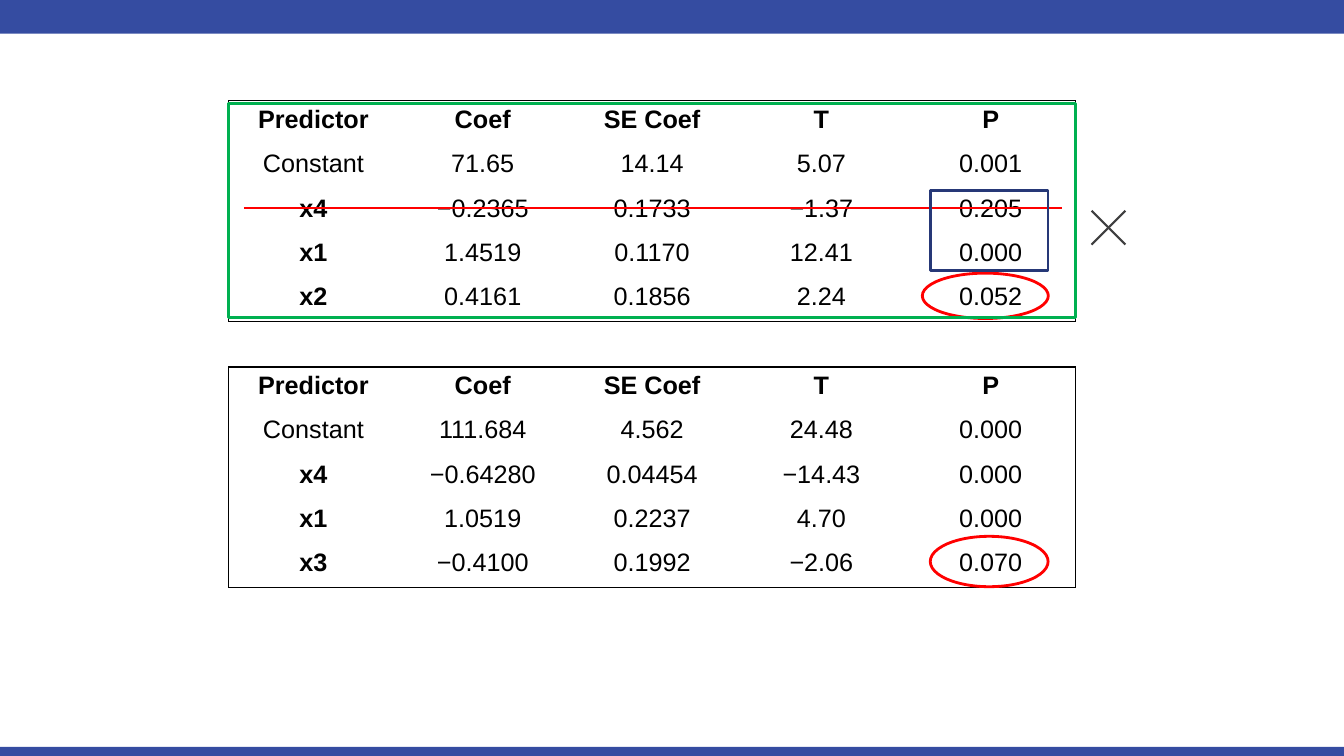
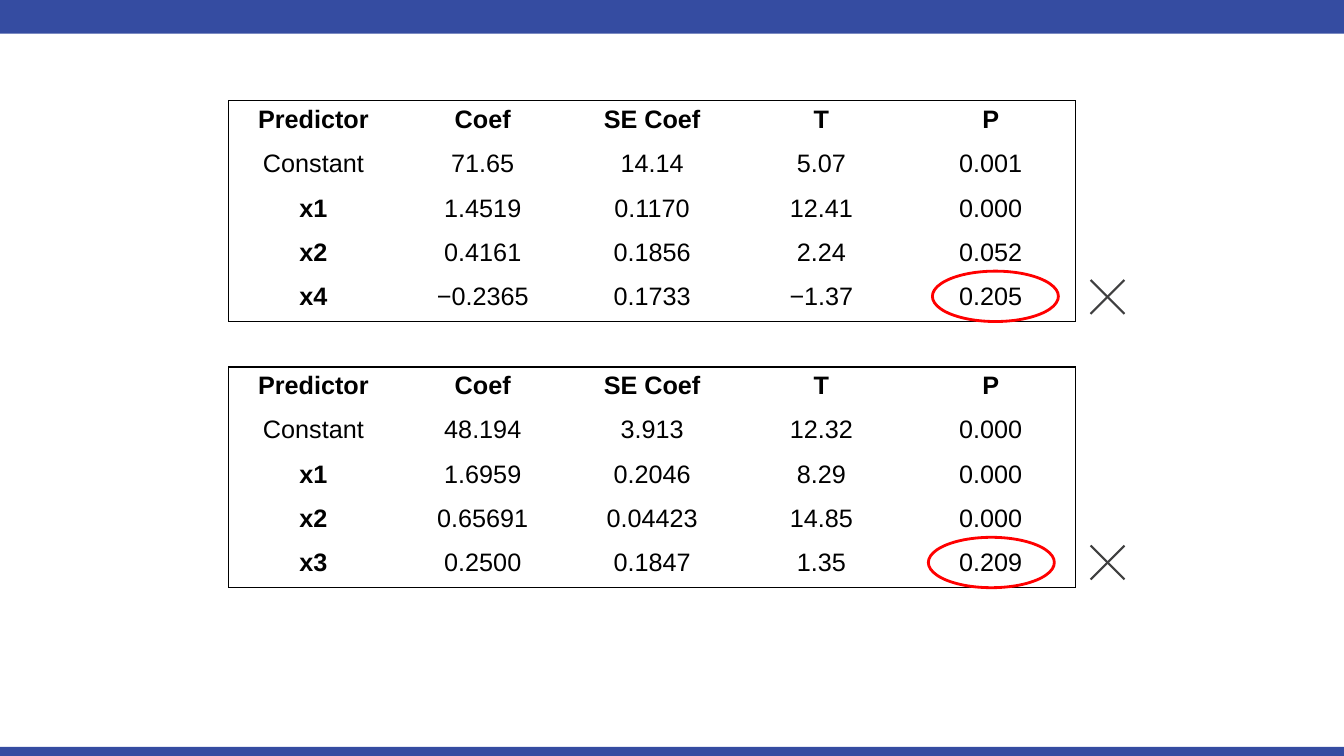
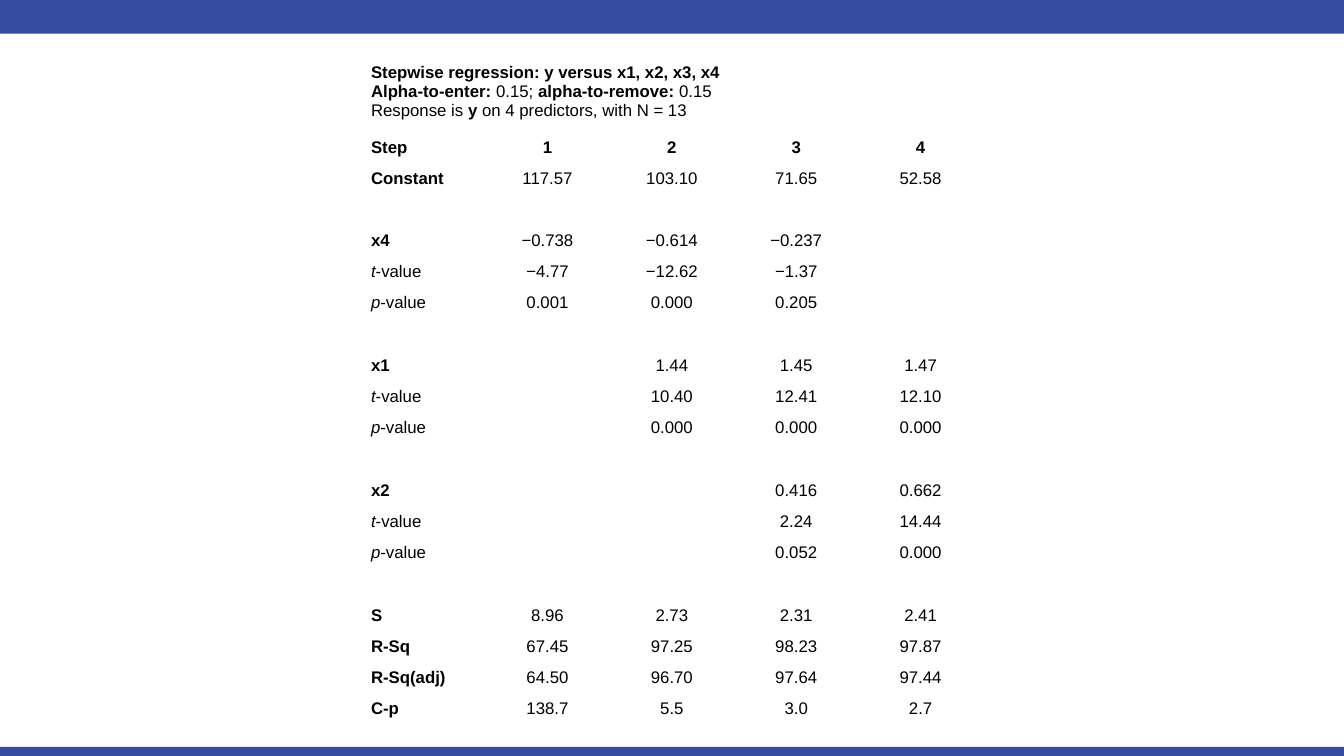
from dataclasses import dataclass

from lxml.etree import SubElement
from pptx import Presentation
from pptx.dml.color import RGBColor
from pptx.enum.shapes import MSO_CONNECTOR, MSO_SHAPE
from pptx.enum.text import PP_ALIGN
from pptx.oxml.ns import qn
from pptx.util import Pt


@dataclass(frozen=True)
class Theme:
    font: str = "Arial"
    body_size: float = 18
    small_size: float = 12
    band: str = "354CA1"
    ink: str = "000000"
    red: str = "FF0000"
    green: str = "00B050"
    navy: str = "263877"
    grey: str = "3F3F40"
    plain_table: str = "{2D5ABB26-0587-4C30-8999-92F81FD0307C}"


THEME = Theme()
PAGE_WIDTH, PAGE_HEIGHT = 960, 540
BOLD, ITALIC, REGULAR = {"bold": True}, {"italic": True}, {"bold": False}

# Predictor tables: left, tops, and cell size
PANEL_LEFT, PANEL_TOPS = 163.4, (72, 262.1)
PANEL_COLUMN, PANEL_ROW = 120.96, 31.56
PANEL_HEADER = ("Predictor", "Coef", "SE Coef", "T", "P")
CROSS_SIZE = 24.2

# Stepwise table: corner and cell size
STEP_LEFT, STEP_TOP = 257.8, 41.8
STEP_COLUMN, STEP_ROW = 88.85, 22.33
STEP_HEADING, STEP_GAP = 53.2, 15.8


def points(*lengths):
    return [Pt(length) for length in lengths]


# Shared parts

def add_outline(page, kind, box, color, width):
    shape = page.shapes.add_shape(kind, *points(*box))
    shape.shadow.inherit = False
    shape.fill.background()
    shape.line.color.rgb = RGBColor.from_string(color)
    shape.line.width = Pt(width)


def add_rule(shapes, start, end, color, width=1.5):
    rule = shapes.add_connector(MSO_CONNECTOR.STRAIGHT, *points(*start, *end))
    rule.line.color.rgb = RGBColor.from_string(color)
    rule.line.width = Pt(width)
    SubElement(rule.element.spPr, qn("a:effectLst"))


def add_master_bands(deck, page):
    """Draw both bands on a page, then move them to the slide master."""
    tree = deck.slide_master.element.cSld.spTree
    for top, height in ((533.5, 6.5), (0, 24)):
        band = page.shapes.add_shape(
            MSO_SHAPE.RECTANGLE, *points(0, top, PAGE_WIDTH, height))
        band.shadow.inherit = False
        band.fill.solid()
        band.fill.fore_color.rgb = RGBColor.from_string(THEME.band)
        band.line.fill.background()
        tree.append(band.element)


def write_spans(para, spans, size, align=PP_ALIGN.LEFT):
    para.alignment = align
    for text, style in spans:
        if text == "\n":
            para.add_line_break()
            continue
        span = para.add_run()
        span.text = text
        span.font.color.rgb = RGBColor.from_string(THEME.ink)
        for name, value in {"name": THEME.font, "size": Pt(size), **style}.items():
            setattr(span.font, name, value)
    if not spans:
        SubElement(para._p, qn("a:endParaRPr"), sz=str(int(size * 100)))


def add_plain_table(page, left, top, column_width, row_heights, column_count):
    frame = page.shapes.add_table(
        len(row_heights), column_count,
        *points(left, top, column_width * column_count, sum(row_heights)))
    table = frame.table
    table.first_row = table.horz_banding = False
    table._tbl.tblPr.find(qn("a:tableStyleId")).text = THEME.plain_table
    for column in table.columns:
        column.width = Pt(column_width)
    for row, height in zip(table.rows, row_heights):
        row.height = Pt(height)
    return table


def add_cell_borders(cell, sides):
    properties = cell._tc.get_or_add_tcPr()
    for side in sides:
        border = SubElement(properties, qn(f"a:ln{side}"), w=str(Pt(1)))
        fill = SubElement(border, qn("a:solidFill"))
        SubElement(fill, qn("a:srgbClr"), val=THEME.ink)


# Predictor panels

def add_panel(page, top, rows, marks):
    rows = [PANEL_HEADER, *rows]
    last_row, last_column = len(rows) - 1, len(PANEL_HEADER) - 1
    table = add_plain_table(page, PANEL_LEFT, top, PANEL_COLUMN,
                            [PANEL_ROW] * len(rows), len(PANEL_HEADER))
    for r, row in enumerate(rows):
        for c, text in enumerate(row):
            cell = table.cell(r, c)
            is_bold = r == 0 or (c == 0 and text != "Constant")
            write_spans(cell.text_frame.paragraphs[0],
                        [(text, BOLD if is_bold else REGULAR)],
                        THEME.body_size, PP_ALIGN.CENTER)
            edges = {"L": c == 0, "R": c == last_column,
                     "T": r == 0, "B": r == last_row}
            add_cell_borders(cell, [side for side, on in edges.items() if on])
            cell.fill.background()
    for draw, *values in marks:
        draw(page, PANEL_LEFT, top, *values)


def mark_ellipse(page, left, top, x, y, width, height):
    add_outline(page, MSO_SHAPE.OVAL, (left + x, top + y, width, height),
                THEME.red, 2)


def mark_frame(page, left, top, x, y, width, height, color, line_width):
    add_outline(page, MSO_SHAPE.RECTANGLE, (left + x, top + y, width, height),
                color, line_width)


def mark_strike(page, left, top, x, y, width):
    add_rule(page.shapes, (left + x, top + y), (left + x + width, top + y),
             THEME.red)


def mark_cross(page, left, top, x, y):
    group = page.shapes.add_group_shape()
    x1, y1 = left + x, top + y
    x2, y2 = x1 + CROSS_SIZE, y1 + CROSS_SIZE
    for start, end in (((x1, y1), (x2, y2)), ((x2, y1), (x1, y2))):
        add_rule(group.shapes, start, end, THEME.grey)


# Stepwise regression table

def add_stepwise(page, left, top, heading, rows):
    heights = [STEP_HEADING] + [STEP_ROW] * len(rows)
    heights[3] = STEP_GAP
    table = add_plain_table(page, left, top, STEP_COLUMN, heights, 5)
    table.cell(0, 0).merge(table.cell(0, 4))
    frame = table.cell(0, 0).text_frame
    for index, spans in enumerate(heading):
        para = frame.add_paragraph() if index else frame.paragraphs[0]
        write_spans(para, spans, THEME.small_size)
    for r, (label, *values) in enumerate(rows, start=1):
        if label.endswith("-value"):
            label_spans = [(label[0], ITALIC), (label[1:], REGULAR)]
        else:
            label_spans = [(label, BOLD)] if label else []
        style = BOLD if label == "Step" else REGULAR
        cells = [label_spans] + [[(v, style)] if v else [] for v in values]
        for c, spans in enumerate(cells):
            write_spans(table.cell(r, c).text_frame.paragraphs[0], spans,
                        THEME.small_size,
                        PP_ALIGN.CENTER if c else PP_ALIGN.LEFT)
    for cell in table.iter_cells():
        cell.fill.background()


# Content: each panel is (rows, marks relative to the table corner)
CONSTANT_71 = ("Constant", "71.65", "14.14", "5.07", "0.001")
X1_STEP = ("x1", "1.4519", "0.1170", "12.41", "0.000")
X2_STEP = ("x2", "0.4161", "0.1856", "2.24", "0.052")
X4_STEP = ("x4", "−0.2365", "0.1733", "−1.37", "0.205")

PANEL_PAGES = [
    [
        ([CONSTANT_71, X4_STEP, X1_STEP, X2_STEP],
         [(mark_ellipse, 495.4, 123.1, 90, 32.4),
          (mark_frame, 0, 2.2, 604.8, 152.6, THEME.green, 2.25),
          (mark_cross, 616.3, 78.5),
          (mark_strike, 10.8, 76.5, 584.6),
          (mark_frame, 501.1, 64.1, 84.2, 56.9, THEME.navy, 2)]),
        ([("Constant", "111.684", "4.562", "24.48", "0.000"),
          ("x4", "−0.64280", "0.04454", "−14.43", "0.000"),
          ("x1", "1.0519", "0.2237", "4.70", "0.000"),
          ("x3", "−0.4100", "0.1992", "−2.06", "0.070")],
         [(mark_ellipse, 501.1, 121, 84.2, 36)]),
    ],
    [
        ([CONSTANT_71, X1_STEP, X2_STEP, X4_STEP],
         [(mark_ellipse, 502.6, 121.7, 90, 36), (mark_cross, 615.6, 128)]),
        ([("Constant", "48.194", "3.913", "12.32", "0.000"),
          ("x1", "1.6959", "0.2046", "8.29", "0.000"),
          ("x2", "0.65691", "0.04423", "14.85", "0.000"),
          ("x3", "0.2500", "0.1847", "1.35", "0.209")],
         [(mark_ellipse, 499.7, 121.7, 90, 36), (mark_cross, 615.6, 127.6)]),
    ],
]

STEP_HEADING_TEXT = [
    [("Stepwise regression: y versus x1, x2, x3, x4", BOLD)],
    [("Alpha-to-enter: ", BOLD), ("0.15; ", REGULAR),
     ("alpha-to-remove: ", BOLD), ("0.15", REGULAR), ("\n", REGULAR),
     ("Response is ", REGULAR), ("y", BOLD),
     (" on 4 predictors, with N = 13", REGULAR)],
]
GAP = ("",) * 5
STEP_ROWS = [
    ("Step", "1", "2", "3", "4"),
    ("Constant", "117.57", "103.10", "71.65", "52.58"),
    GAP,
    ("x4", "−0.738", "−0.614", "−0.237", ""),
    ("t-value", "−4.77", "−12.62", "−1.37", ""),
    ("p-value", "0.001", "0.000", "0.205", ""),
    GAP,
    ("x1", "", "1.44", "1.45", "1.47"),
    ("t-value", "", "10.40", "12.41", "12.10"),
    ("p-value", "", "0.000", "0.000", "0.000"),
    GAP,
    ("x2", "", "", "0.416", "0.662"),
    ("t-value", "", "", "2.24", "14.44"),
    ("p-value", "", "", "0.052", "0.000"),
    GAP,
    ("S", "8.96", "2.73", "2.31", "2.41"),
    ("R-Sq", "67.45", "97.25", "98.23", "97.87"),
    ("R-Sq(adj)", "64.50", "96.70", "97.64", "97.44"),
    ("C-p", "138.7", "5.5", "3.0", "2.7"),
]


def main():
    deck = Presentation()
    deck.slide_width, deck.slide_height = points(PAGE_WIDTH, PAGE_HEIGHT)
    blank = deck.slide_layouts[6]

    for panels in PANEL_PAGES:
        page = deck.slides.add_slide(blank)
        for top, (rows, marks) in zip(PANEL_TOPS, panels):
            add_panel(page, top, rows, marks)

    page = deck.slides.add_slide(blank)
    add_stepwise(page, STEP_LEFT, STEP_TOP, STEP_HEADING_TEXT, STEP_ROWS)
    add_master_bands(deck, page)
    deck.save("out.pptx")


if __name__ == "__main__":
    main()
